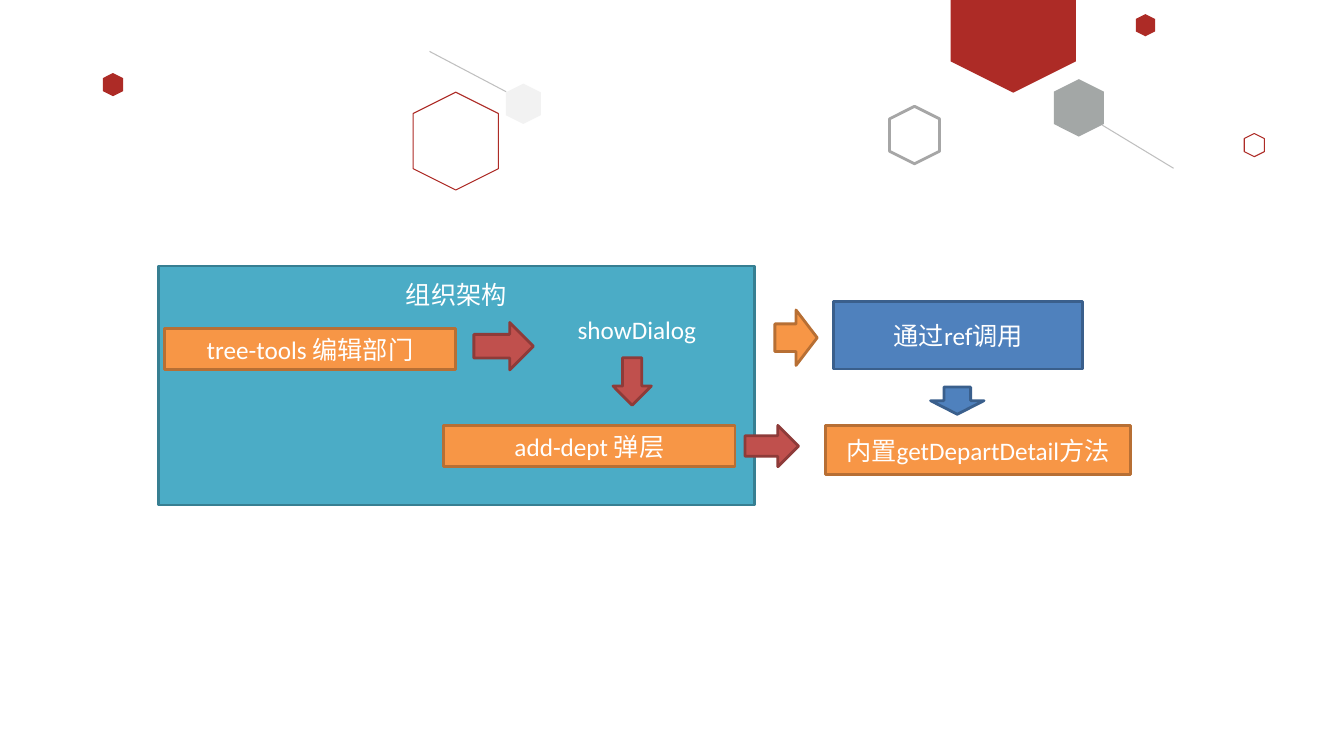
from pptx import Presentation
from pptx.dml.color import RGBColor
from pptx.enum.shapes import MSO_CONNECTOR, MSO_SHAPE
from pptx.enum.text import MSO_ANCHOR, PP_ALIGN
from pptx.oxml.ns import qn
from pptx.util import Inches, Pt
from lxml import etree

WIDTH, HEIGHT = 13.33, 7.5
RED, WHITE = "AD2B26", "FFFFFF"
HEX_RATIO = 0.87

# fill, border
TEAL = ("4BACC6", "377F92")
ORANGE = ("F79646", "B76F34")
CRIMSON = ("C0504D", "8E3B39")
BLUE = ("4F81BD", "3A5F8C")

BANNER = [(9.43, 0), (10.67, 0), (10.67, 0.61), (10.05, 0.92), (9.43, 0.61)]

# centre x, centre y, height, fill, opacity %, border, border width
HEXAGONS = [
    (10.7, 1.07, 0.57, "49504F", 50, None, 0),
    (9.07, 1.34, 0.57, None, 100, "A6A6A6", 2),
    (11.36, 0.25, 0.22, RED, 100, None, 0),
    (4.52, 1.4, 0.97, None, 100, RED, 0.75),
    (12.44, 1.44, 0.23, None, 100, RED, 0.75),
    (1.12, 0.84, 0.23, RED, 100, None, 0),
    (5.19, 1.03, 0.4, "F2F2F2", 100, None, 0),
]
STEMS = [(10.93, 1.24, 11.64, 1.67), (4.26, 0.51, 5.02, 0.91)]

PANEL = ("组织架构", MSO_SHAPE.RECTANGLE, TEAL, (1.57, 2.64, 5.91, 2.37))
CALL = ("showDialog", (5.63, 3.07, 1.47, 0.4))
LOWER_ROW, STEP_W, STEP_H = 4.22, 2.89, 0.41
STEPS = [
    ("tree-tools 编辑部门", MSO_SHAPE.RECTANGLE, ORANGE, (1.63, 3.26, STEP_W, STEP_H)),
    ("add-dept 弹层", MSO_SHAPE.RECTANGLE, ORANGE, (4.4, LOWER_ROW, STEP_W, STEP_H)),
    ("内置getDepartDetail方法", MSO_SHAPE.RECTANGLE, ORANGE, (8.19, LOWER_ROW, 3.02, 0.49)),
    ("通过ref调用", MSO_SHAPE.FLOWCHART_PROCESS, BLUE, (8.27, 2.99, 2.47, 0.67)),
]
# shape, colours, box, rotation
ARROWS = [
    (MSO_SHAPE.RIGHT_ARROW, CRIMSON, (4.7, 3.2, 0.59, 0.47), 0),
    (MSO_SHAPE.DOWN_ARROW, CRIMSON, (6.08, 3.55, 0.38, 0.47), 0),
    (MSO_SHAPE.RIGHT_ARROW, CRIMSON, (7.39, LOWER_ROW, 0.53, STEP_H), 0),
    (MSO_SHAPE.DOWN_ARROW, ORANGE, (7.62, 3.14, 0.55, 0.42), 270),
    (MSO_SHAPE.DOWN_ARROW, BLUE, (9.23, 3.84, 0.53, 0.27), 0),
]


def rgb(value):
    return RGBColor.from_string(value)


def paint(shape, fill, border, border_width=2):
    shape.shadow.inherit = False
    if fill:
        shape.fill.solid()
        shape.fill.fore_color.rgb = rgb(fill)
    else:
        shape.fill.background()
    if border:
        shape.line.color.rgb = rgb(border)
        shape.line.width = Pt(border_width)
    else:
        shape.line.fill.background()


def fade(shape, opacity):
    """Set the opacity, in percent, of a solid fill."""
    color = shape.fill._xPr.find(qn("a:solidFill")).find(qn("a:srgbClr"))
    etree.SubElement(color, qn("a:alpha")).set("val", str(opacity * 1000))


def add_figure(slide, kind, box, fill, border, border_width=2, rotation=0):
    figure = slide.shapes.add_shape(kind, *map(Inches, box))
    figure.rotation = rotation
    paint(figure, fill, border, border_width)
    return figure


def write(shape, words, align=PP_ALIGN.CENTER, anchor=MSO_ANCHOR.MIDDLE):
    frame = shape.text_frame
    frame.word_wrap = True
    frame.vertical_anchor = anchor
    paragraph = frame.paragraphs[0]
    paragraph.alignment = align
    run = paragraph.add_run()
    run.text = words
    run.font.name = "Calibri"
    run.font.size = Pt(18)
    run.font.color.rgb = rgb(WHITE)


def add_decoration(slide):
    outline = slide.shapes.build_freeform(*map(Inches, BANNER[0]), scale=1.0)
    outline.add_line_segments([(Inches(x), Inches(y)) for x, y in BANNER[1:]])
    paint(outline.convert_to_shape(), RED, None)
    for x, y, length, fill, opacity, border, border_width in HEXAGONS:
        breadth = length * HEX_RATIO
        box = (x - length / 2, y - breadth / 2, length, breadth)
        hexagon = add_figure(slide, MSO_SHAPE.HEXAGON, box, fill, border, border_width, 90)
        if opacity < 100:
            fade(hexagon, opacity)
    for ends in STEMS:
        stem = slide.shapes.add_connector(MSO_CONNECTOR.STRAIGHT, *map(Inches, ends))
        stem.line.color.rgb = rgb("BFBFBF")
        stem.line.width = Pt(0.75)
        etree.SubElement(stem._element.spPr, qn("a:effectLst"))


def add_flow(slide):
    title, kind, colours, box = PANEL
    panel = add_figure(slide, kind, box, *colours)
    write(panel, title, anchor=MSO_ANCHOR.TOP)
    panel.text_frame.margin_top = Inches(0.13)
    for words, kind, colours, box in STEPS:
        write(add_figure(slide, kind, box, *colours), words)
    words, box = CALL
    call = slide.shapes.add_textbox(*map(Inches, box))
    write(call, words, PP_ALIGN.LEFT, MSO_ANCHOR.TOP)
    for kind, colours, box, rotation in ARROWS:
        add_figure(slide, kind, box, *colours, rotation=rotation)


def main():
    deck = Presentation()
    deck.slide_width, deck.slide_height = Inches(WIDTH), Inches(HEIGHT)
    slide = deck.slides.add_slide(deck.slide_layouts[6])
    add_decoration(slide)
    add_flow(slide)
    deck.save("out.pptx")


if __name__ == "__main__":
    main()
